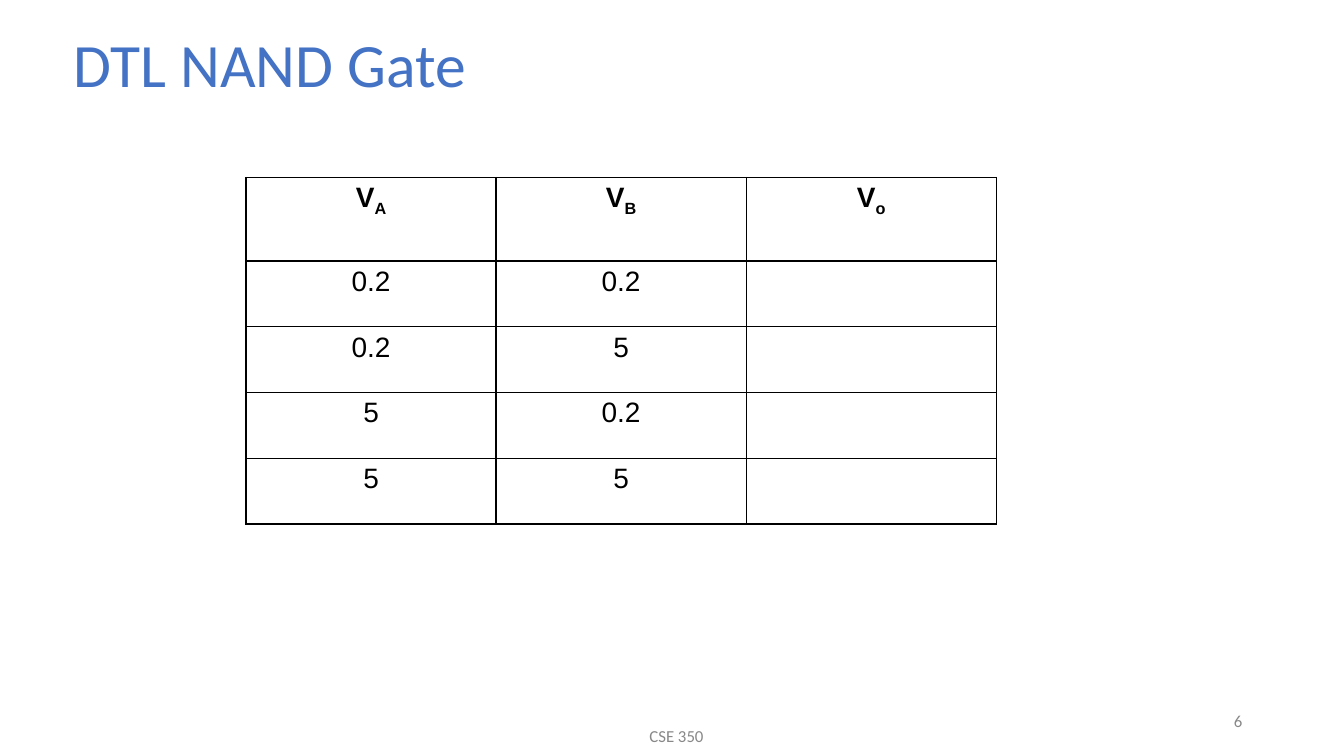
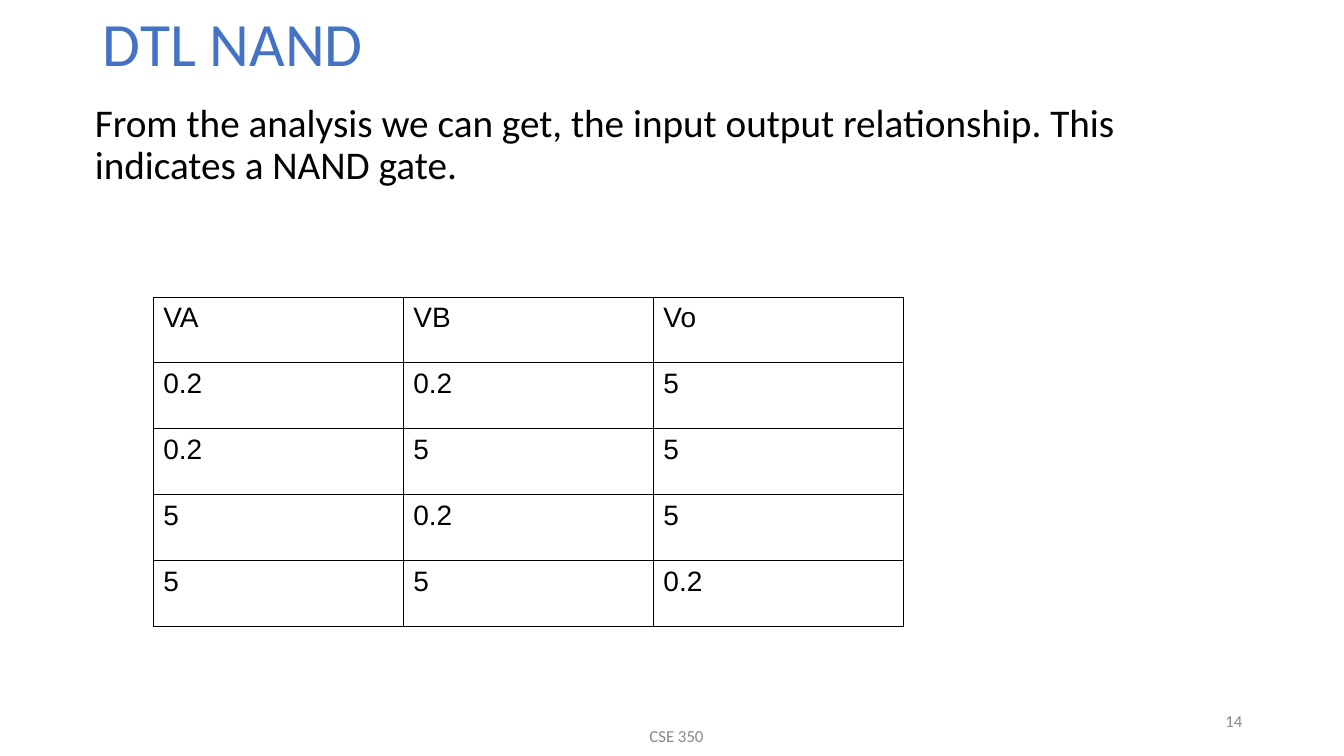
"""Build two slides on the DTL NAND gate, each with a truth table."""
import pptx
import pptx.dml.color
import pptx.enum.text
import pptx.oxml
import pptx.oxml.ns
import pptx.util

PIXEL = 9144
ALIGN = pptx.enum.text.PP_ALIGN
ANCHOR = pptx.enum.text.MSO_ANCHOR
BLACK = "000000"
TITLE_FONT = {"name": "Calibri", "size": pptx.util.Pt(44), "color": "4472C4"}
FOOTER_FONT = {"name": "Calibri", "size": pptx.util.Pt(12), "color": "888888"}
BODY_FONT = {"name": "Calibri", "size": pptx.util.Pt(28), "color": BLACK}
CELL_FONT = {"name": "Arial", "size": pptx.util.Pt(20), "color": BLACK, "bold": False}
HEADER_FONT = {**CELL_FONT, "bold": True}
COLUMN_WIDTH = 248
INPUTS = [("0.2", "0.2"), ("0.2", "5"), ("5", "0.2"), ("5", "5")]


def px(length):
    """Turn a length in px into EMU."""
    return pptx.util.Emu(round(length * PIXEL))


def color(hex_value):
    """Turn a hex string into a colour."""
    return pptx.dml.color.RGBColor.from_string(hex_value)


def set_font(font, values):
    """Set the font attributes given in a dict."""
    for name, value in values.items():
        if name == "color":
            font.color.rgb = color(value)
        else:
            setattr(font, name, value)


def place(shape, left, top, width, height):
    """Move and size a shape."""
    box = {"left": left, "top": top, "width": width, "height": height}
    for name, value in box.items():
        setattr(shape, name, px(value))


def write(shape, text, font, alignment=ALIGN.LEFT, anchor=ANCHOR.MIDDLE, line_spacing=1.0):
    """Write one formatted paragraph into a shape."""
    frame = shape.text_frame
    frame.word_wrap = True
    frame.auto_size = pptx.enum.text.MSO_AUTO_SIZE.NONE
    frame.vertical_anchor = anchor
    paragraph = frame.paragraphs[0]
    paragraph.alignment = alignment
    paragraph.line_spacing = line_spacing
    run = paragraph.add_run()
    run.text = text
    set_font(run.font, font)


def add_text(slide, box, text, font, **layout):
    """Add a text box and return it."""
    shape = slide.shapes.add_textbox(*map(px, box))
    write(shape, text, font, **layout)
    return shape


def add_slide(presentation, title, left, top, number):
    """Add a slide with its title, footer and number."""
    slide = presentation.slides.add_slide(presentation.slide_layouts[5])
    place(slide.shapes.title, left, top, 1150, 76)
    write(slide.shapes.title, title, TITLE_FONT, line_spacing=0.9)
    add_text(slide, (446, 710, 450, 40), "CSE 350", FOOTER_FONT, alignment=ALIGN.CENTER)
    add_text(slide, (942, 695, 300, 40), number, FOOTER_FONT, alignment=ALIGN.RIGHT)
    return slide


def set_borders(cell):
    """Draw a thin black line on all four sides of a cell."""
    properties = cell._tc.get_or_add_tcPr()
    for side in "LRTB":
        properties.append(pptx.oxml.parse_xml(
            f'<a:ln{side} {pptx.oxml.ns.nsdecls("a")} w="12700"><a:solidFill>'
            f'<a:srgbClr val="{BLACK}"/></a:solidFill></a:ln{side}>'))


def fill_cell(cell, parts, font, alignment):
    """Write text, with an optional subscript, into a bordered cell."""
    set_borders(cell)
    cell.fill.background()
    paragraph = cell.text_frame.paragraphs[0]
    paragraph.alignment = alignment
    set_font(paragraph.font, font)
    for index, part in enumerate(parts):
        run = paragraph.add_run()
        run.text = part
        set_font(run.font, font)
        if index:
            run._r.get_or_add_rPr().set("baseline", "-25000")


def add_truth_table(slide, left, top, header_height, height, header, outputs,
                    header_font=CELL_FONT, alignment=ALIGN.LEFT):
    """Add a table of the two inputs and the output."""
    rows = [header] + [
        [[value] if value else [] for value in (*pair, output)]
        for pair, output in zip(INPUTS, outputs)]
    columns = len(header)
    frame = slide.shapes.add_table(
        len(rows), columns, px(left), px(top), px(columns * COLUMN_WIDTH), px(height))
    table = frame.table
    table.first_row = table.horz_banding = False
    row_height = (height - header_height) / len(INPUTS)
    for row_index, row in enumerate(rows):
        table.rows[row_index].height = px(row_height if row_index else header_height)
        font = CELL_FONT if row_index else header_font
        for column_index, parts in enumerate(row):
            fill_cell(table.cell(row_index, column_index), parts, font, alignment)


def main():
    """Build and save the presentation."""
    presentation = pptx.Presentation()
    presentation.slide_width = px(1333)
    presentation.slide_height = px(750)

    slide = add_slide(presentation, "DTL NAND Gate", 63, 29, "6")
    add_truth_table(slide, 244, 176, 83, 344, [("V", "A"), ("V", "B"), ("V", "o")],
                    [""] * 4, HEADER_FONT, ALIGN.CENTER)

    slide = add_slide(presentation, "DTL NAND", 92, 8, "14")
    body = add_text(
        slide, (72, 98, 1141, 139),
        "From the analysis we can get, the input output relationship. "
        "This indicates a NAND gate.",
        BODY_FONT, anchor=ANCHOR.TOP, line_spacing=0.9)
    body.text_frame.margin_left = px(22)
    add_truth_table(slide, 152, 295, 65, 327, [["VA"], ["VB"], ["Vo"]],
                    ["5", "5", "5", "0.2"])
    presentation.save("out.pptx")


if __name__ == "__main__":
    main()
